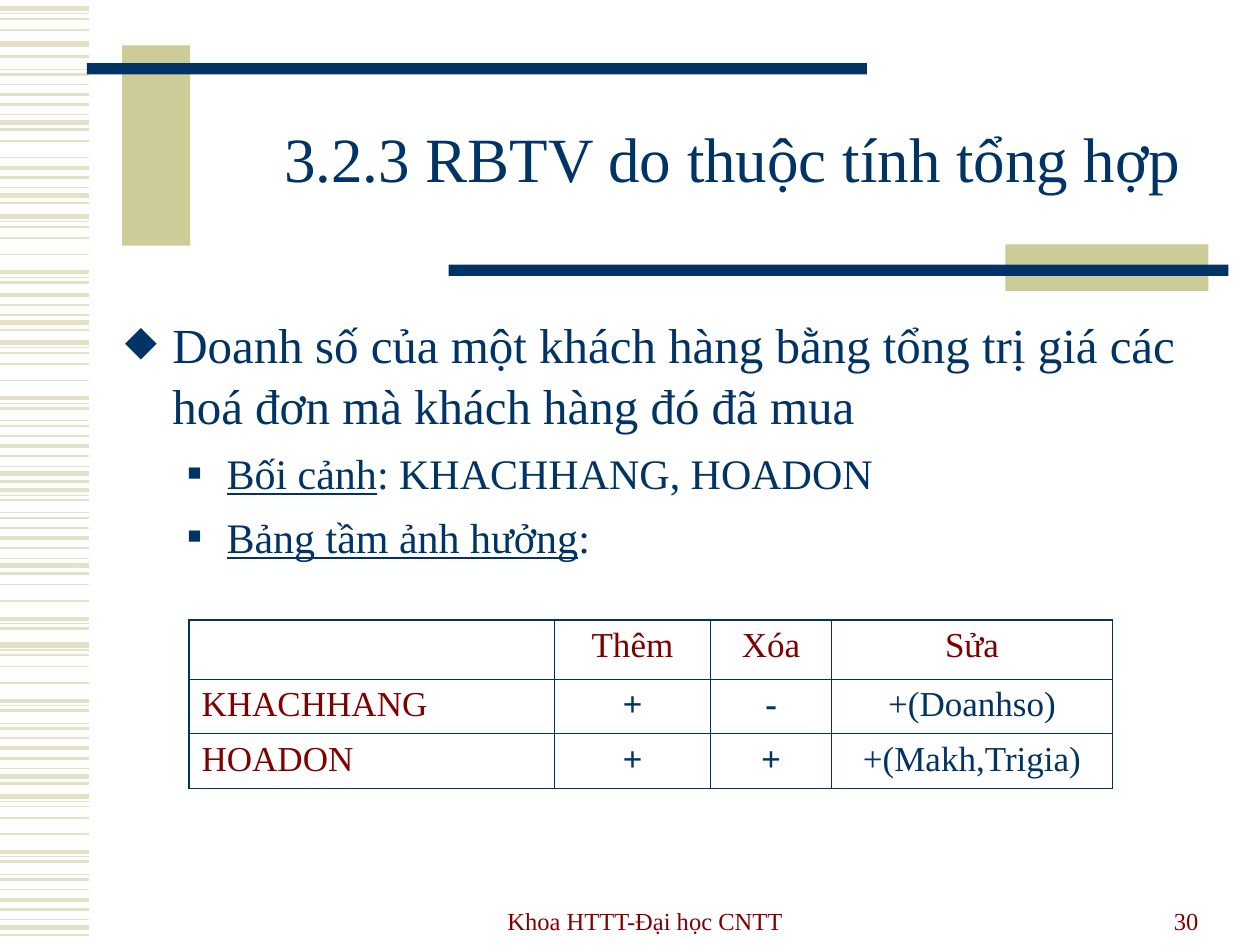
from lxml.etree import SubElement
from pptx import Presentation
from pptx.dml.color import RGBColor
from pptx.enum.shapes import MSO_CONNECTOR, MSO_SHAPE
from pptx.enum.text import MSO_ANCHOR, MSO_AUTO_SIZE, PP_ALIGN
from pptx.oxml.ns import qn
from pptx.util import Emu, Pt

PX_PER_INCH = 100
NAVY, MAROON, KHAKI, STRIPE = "003366", "800000", "CCCC99", "E3E2C7"

STRIPE_PATTERN = [
    (0, 3), (4, 0.75), (8, 1), (17, 1), (30, 1), (44, 2.25), (48, 0.75), (52, 1.5),
    (62, 0.75), (66, 1.5), (74, 1), (82, 2.25), (90, 1.5), (98, 0.75), (104, 3), (110, 1.5),
]
STRIPE_RUNS = [
    (-69, 14, 15), (7, 0, 4), (-7, 7, 16), (82, 4, 5), (51, 10, 16), (172, 0, 8),
    (152, 11, 16), (272, 0, 16), (345, 5, 16), (447, 3, 8), (512, 0, 16), (632, 0, 16),
]
IMPACT_ROWS = [
    ["", "Thêm", "Xóa", "Sửa"],
    ["KHACHHANG", "+", "-", "+(Doanhso)"],
    ["HOADON", "+", "+", "+(Makh,Trigia)"],
]


def px(length):
    return Emu(round(length * 914400 / PX_PER_INCH))


def color(value):
    return RGBColor.from_string(value)


class SlideBuilder:
    font = "Times New Roman"

    def __init__(self, slide):
        self.slide = slide

    def rectangle(self, left, top, width, height, fill):
        shape = self.slide.shapes.add_shape(
            MSO_SHAPE.RECTANGLE, px(left), px(top), px(width), px(height))
        shape.shadow.inherit = False
        shape.fill.solid()
        shape.fill.fore_color.rgb = color(fill)
        shape.line.fill.background()

    def stripe(self, y, width):
        connector = self.slide.shapes.add_connector(
            MSO_CONNECTOR.STRAIGHT, px(0), px(y), px(71), px(y))
        connector.line.color.rgb = color(STRIPE)
        connector.line.width = Pt(width)
        SubElement(connector._element.spPr, qn("a:effectLst"))

    def run(self, paragraph, text, size, ink, bold=False, underline=False):
        run = paragraph.add_run()
        run.text = text
        run.font.name = self.font
        run.font.size = Pt(size)
        run.font.color.rgb = color(ink)
        run.font.bold = bold
        run.font.underline = underline

    def title(self, text, left, top, width, height):
        shape = self.slide.shapes.title
        shape.left, shape.top, shape.width, shape.height = map(px, (left, top, width, height))
        frame = shape.text_frame
        frame.auto_size = MSO_AUTO_SIZE.NONE
        frame.vertical_anchor = MSO_ANCHOR.MIDDLE
        paragraph = frame.paragraphs[0]
        paragraph.alignment = PP_ALIGN.CENTER
        paragraph.line_spacing = 0.85
        self.run(paragraph, text, 36, NAVY)

    def text_box(self, left, top, width, height, anchor=MSO_ANCHOR.TOP):
        frame = self.slide.shapes.add_textbox(
            px(left), px(top), px(width), px(height)).text_frame
        frame.word_wrap = True
        frame.vertical_anchor = anchor
        return frame

    def footer(self, text, left, width, alignment):
        paragraph = self.text_box(left, 697, width, 50, MSO_ANCHOR.BOTTOM).paragraphs[0]
        paragraph.alignment = alignment
        self.run(paragraph, text, 14, MAROON)

    def bullet(self, paragraph, mark, percent, margin, hanging, space_before):
        paragraph.line_spacing = 1.05
        paragraph.space_before = Pt(space_before)
        properties = paragraph._p.get_or_add_pPr()
        properties.set("marL", str(px(margin)))
        properties.set("indent", str(-px(hanging)))
        SubElement(SubElement(properties, qn("a:buClr")), qn("a:srgbClr"), val=NAVY)
        SubElement(properties, qn("a:buSzPct"), val=str(percent * 1000))
        SubElement(properties, qn("a:buFont"), typeface=self.font)
        SubElement(properties, qn("a:buChar"), char=mark)

    def body(self, statement, details):
        frame = self.text_box(89, 242, 870, 424)
        paragraph = frame.paragraphs[0]
        self.bullet(paragraph, "⬥", 100, 38, 38, 7)
        self.run(paragraph, statement, 28, NAVY)
        for label, rest in details:
            paragraph = frame.add_paragraph()
            paragraph.level = 1
            self.bullet(paragraph, "■", 55, 81, 31, 6)
            self.run(paragraph, label, 24, NAVY, underline=True)
            self.run(paragraph, rest, 24, NAVY)

    def borders(self, cell, outer_sides):
        properties = cell._tc.get_or_add_tcPr()
        for side, is_outer in outer_sides.items():
            width = Pt(1.08 if is_outer else 0.45)
            line = SubElement(properties, qn("a:ln" + side), w=str(width))
            SubElement(SubElement(line, qn("a:solidFill")), qn("a:srgbClr"), val=NAVY)

    def table(self, left, top, widths, heights, rows):
        table = self.slide.shapes.add_table(
            len(rows), len(widths), px(left), px(top),
            px(sum(widths)), px(sum(heights))).table
        table.first_row = table.horz_banding = False
        for column, width in zip(table.columns, widths):
            column.width = px(width)
        for row, height in zip(table.rows, heights):
            row.height = px(height)
        last_row, last_column = len(rows) - 1, len(widths) - 1
        for i, texts in enumerate(rows):
            for j, text in enumerate(texts):
                cell = table.cell(i, j)
                self.borders(cell, {"L": j == 0, "R": j == last_column,
                                    "T": i == 0, "B": i == last_row})
                cell.fill.background()
                if text:
                    paragraph = cell.text_frame.paragraphs[0]
                    paragraph.alignment = PP_ALIGN.CENTER if j else PP_ALIGN.LEFT
                    ink = NAVY if i and j else MAROON
                    self.run(paragraph, text, 20, ink, bold=text in ("+", "-"))


def main():
    presentation = Presentation()
    presentation.slide_width, presentation.slide_height = px(1000), px(750)
    builder = SlideBuilder(presentation.slides.add_slide(presentation.slide_layouts[5]))

    for start, first, last in STRIPE_RUNS:
        for offset, width in STRIPE_PATTERN[first:last]:
            builder.stripe(start + offset, width)
    builder.rectangle(97, 36, 54, 159, KHAKI)
    builder.rectangle(69, 50, 619, 9, NAVY)
    builder.rectangle(798, 194, 161, 37, KHAKI)
    builder.rectangle(356, 210, 619, 9, NAVY)

    builder.footer("Khoa HTTT-Đại học CNTT", 343, 338, PP_ALIGN.CENTER)
    builder.footer("30", 721, 240, PP_ALIGN.RIGHT)
    builder.title(" 3.2.3 RBTV do thuộc tính tổng hợp", 150, 67, 850, 125)
    builder.body(
        "Doanh số của một khách hàng bằng tổng trị giá các hoá đơn mà khách hàng đó đã mua",
        [("Bối cảnh", ": KHACHHANG, HOADON"), ("Bảng tầm ảnh hưởng", ":")])
    builder.table(150, 492, [290, 124, 96, 223], [47, 43, 43], IMPACT_ROWS)

    presentation.save("out.pptx")


if __name__ == "__main__":
    main()
